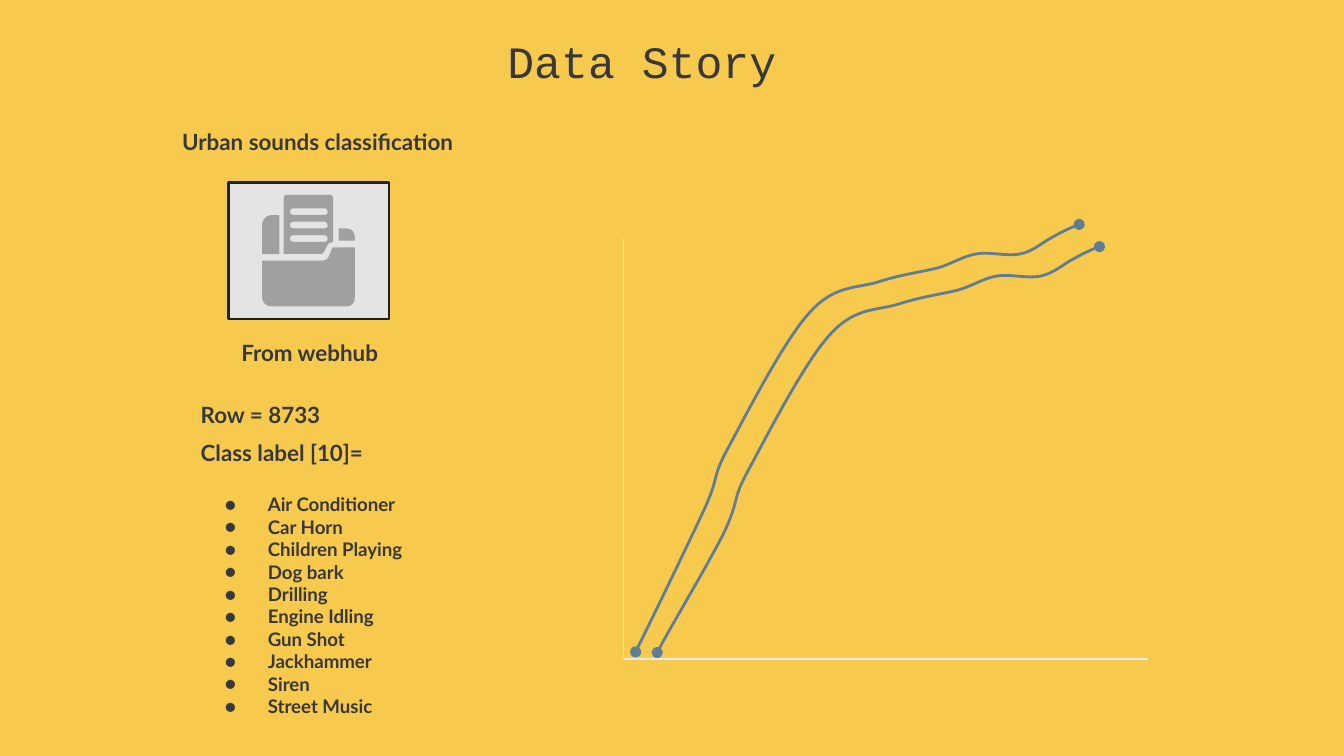
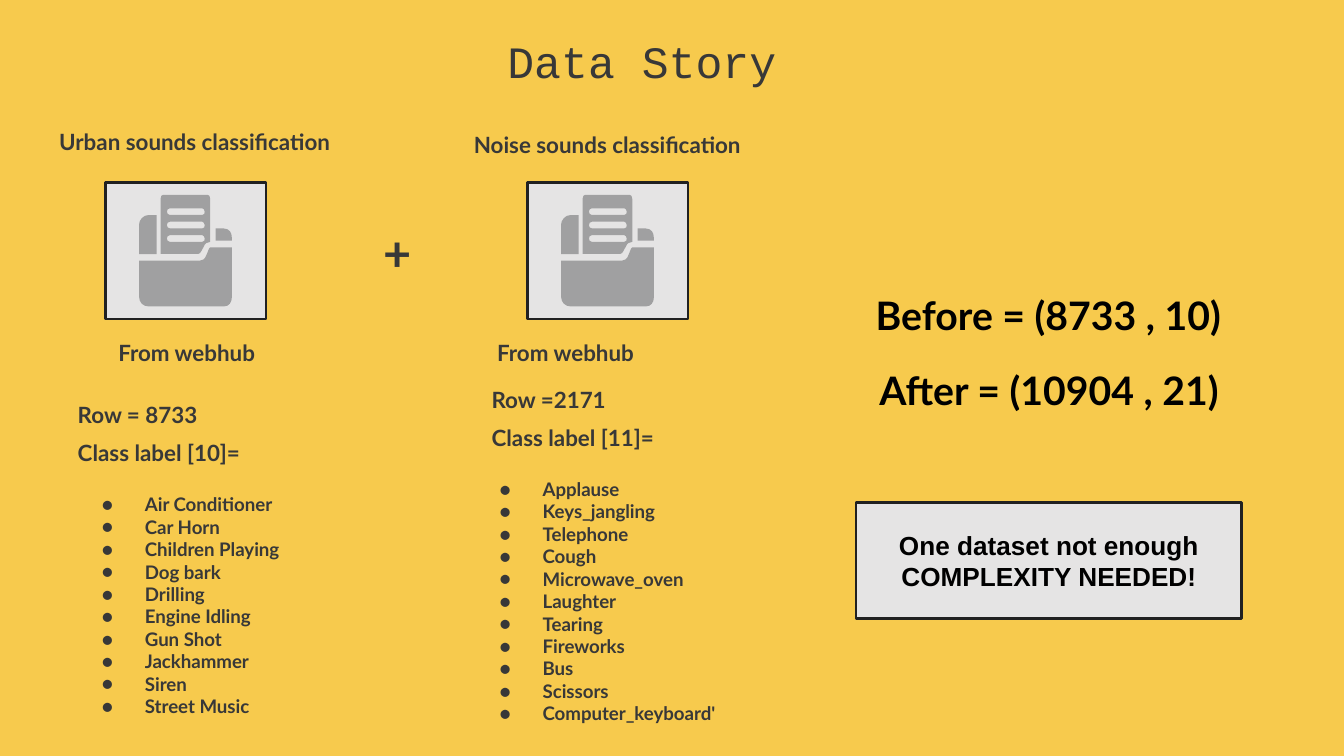
from dataclasses import dataclass

from lxml.etree import SubElement
from pptx import Presentation
from pptx.dml.color import RGBColor
from pptx.enum.shapes import MSO_CONNECTOR as CONNECTOR, MSO_SHAPE as SHAPE
from pptx.enum.text import MSO_ANCHOR as ANCHOR, PP_ALIGN as ALIGN
from pptx.oxml.ns import qn
from pptx.util import Emu, Inches, Pt

COLUMNS, ROWS = 100, 56.25
CELL = Inches(0.1)
COLORS = {
    "background": "F7CA4D",
    "text": "383838",
    "strong": "000000",
    "panel": "E5E4E4",
    "border": "212121",
    "icon": "A0A0A1",
    "curve": "5F7D95",
    "axis": "E3E9ED",
}
CAPTION_INSET = 3.7  # wider right margin of the captions, in cells

# Outlines: a start point, then lines (one point) or cubic curves (three points).
FOLDER_TAB = "8.2 3.4; 8.2 4.3; 9.4 4.3; 9.4 4.1; 9.4 3.7 9.2 3.4 8.8 3.4"
FOLDER_BACK = "3.2 2.4; 2.8 2.4 2.5 2.8 2.5 3.1; 2.5 5.3; 3.8 5.3; 3.8 2.4"
FOLDER_FRONT = ("7.8 4.8; 7.7 4.8 7.6 5.2 7.5 5.4; 7.4 5.7 7.2 5.8 7 5.8; 2.5 5.8; 2.5 8.5; "
                "2.5 8.9 2.8 9.2 3.2 9.2; 8.8 9.2; 9.2 9.2 9.4 8.9 9.4 8.5; 9.4 4.8")
SHEET = ("4.3 0.9; 4.2 0.9 4.1 1 4.1 1.2; 4.1 5.3; 6.9 5.3; 7.1 5.3 7.2 4.9 7.3 4.8; "
         "7.4 4.5 7.6 4.4 7.8 4.4; 7.8 1.2; 7.8 1 7.7 0.9 7.6 0.9")
SHEET_LINE = "7.2 0; 7.4 0 7.5 0.5 7.2 0.5; 4.8 0.5; 4.5 0.5 4.5 0 4.8 0"
SHEET_LINE_ROWS = (1.9, 2.9, 3.9)

CURVE_STARTS = ("0.9 31.8; 1.8 30 4.9 23.6 6.1 21", "1 30.2; 1.8 28.6 5 23.3 6.1 21")
CURVE_REST = ("; 7.2 18.5 6.5 19 7.8 16.6; 9.1 14.2 12 8.5 13.9 6.5; 15.8 4.4 17.5 4.8 19.2 4.2; "
              "20.8 3.7 22.4 3.5 23.5 3.2; 24.7 2.8 25.2 2.4 26.2 2.2; "
              "27.2 2 28.5 2.4 29.5 2.2; 30.5 2 31.2 1.3 32 0.9; 32.7 0.5 33.6 0.1 33.9 0")
CURVE_SHIFT = (1.5, 1.65)


@dataclass
class Box:
    """A rectangle in grid cells."""
    left: float
    top: float
    width: float
    height: float

    def inner(self, left, top, width, height):
        return Box(self.left + left, self.top + top, width, height)

    def emu(self):
        return [cells(n) for n in (self.left, self.top, self.width, self.height)]


@dataclass
class Dataset:
    """Wording of one data set, with its text boxes relative to the folder."""
    title: str
    size: str
    label: str
    classes: tuple
    title_box: tuple
    caption_box: tuple
    details_box: tuple
    indent: float


URBAN = Dataset(
    "Urban sounds classification", "Row = 8733", "Class label [10]=",
    ("Air Conditioner", "Car Horn", "Children Playing", "Dog bark", "Drilling",
     "Engine Idling", "Gun Shot", "Jackhammer", "Siren", "Street Music"),
    (-8.4, -5.05, 32.8, 4), (-12.2, 10.65, 39.2, 4), (-3.05, 15.25, 32.8, 25.8), 5)
NOISE = Dataset(
    "Noise sounds classification", "Row =2171", "Class label [11]=",
    ("Applause", "Keys_jangling", "Telephone", "Cough", "Microwave_oven", "Laughter",
     "Tearing", "Fireworks", "Bus", "Scissors", "Computer_keyboard'"),
    (-9.1, -4.85, 32.8, 4), (-3.6, 10.6, 15.6, 4), (-3.65, 14.12, 29.7, 27.4), 3.8)


def cells(count):
    return Emu(round(count * CELL))


def color(name):
    return RGBColor.from_string(COLORS[name])


def set_font(paragraph, size, name="Lato", tint="text", bold=True):
    for run in paragraph.runs:
        font = run.font
        font.size, font.name, font.bold = Pt(size), name, bold
        font.color.rgb = color(tint)


def fill_frame(frame, lines, align=ALIGN.CENTER, anchor=ANCHOR.TOP, right=1):
    """Put lines into a text frame and return its paragraphs."""
    frame.word_wrap = True
    frame.vertical_anchor = anchor
    frame.margin_left = frame.margin_top = frame.margin_bottom = cells(1)
    frame.margin_right = cells(right)
    frame.text = "\n".join(lines)
    for paragraph in frame.paragraphs:
        paragraph.alignment = align
    return frame.paragraphs


def add_label(slide, box, text, size, anchor=ANCHOR.TOP, right=1, **font):
    frame = slide.shapes.add_textbox(*box.emu()).text_frame
    for paragraph in fill_frame(frame, [text], anchor=anchor, right=right):
        set_font(paragraph, size, **font)


def add_bullet(paragraph, indent):
    properties = paragraph._p.get_or_add_pPr()
    properties.set("marL", str(cells(indent)))
    properties.set("indent", str(-cells(3.2)))
    tint = SubElement(properties, qn("a:buClr"))
    SubElement(tint, qn("a:srgbClr")).set("val", COLORS["text"])
    SubElement(properties, qn("a:buFont")).set("typeface", "Lato")
    SubElement(properties, qn("a:buChar")).set("char", "●")


def add_panel(slide, box):
    panel = slide.shapes.add_shape(SHAPE.RECTANGLE, *box.emu())
    panel.shadow.inherit = False
    panel.fill.solid()
    panel.fill.fore_color.rgb = color("panel")
    panel.line.color.rgb = color("border")
    panel.line.width = Pt(1.5)
    return panel


def trace(outline, left, top):
    """Turn an outline into segments, each a list of slide points."""
    segments = []
    for segment in outline.split(";"):
        numbers = [float(n) for n in segment.split()]
        segments.append([(cells(left + x), cells(top + y))
                         for x, y in zip(numbers[::2], numbers[1::2])])
    return segments


def bend(shape, segments):
    """Turn the straight steps that stand for cubic curves into curves."""
    steps = list(shape._element.iter(qn("a:lnTo")))
    for step, points in zip(steps, segments):
        if len(points) == 1:
            continue
        curve = step.makeelement(qn("a:cubicBezTo"))
        for x, y in points:
            point = SubElement(curve, qn("a:pt"))
            point.set("x", str(x - shape.left))
            point.set("y", str(y - shape.top))
        step.getparent().replace(step, curve)


def add_outline(shapes, contours, close):
    builder = shapes.build_freeform(*contours[0][0][0])
    for index, (start, *segments) in enumerate(contours):
        if index:
            builder.move_to(*start[0])
        builder.add_line_segments([points[-1] for points in segments], close=close)
    shape = builder.convert_to_shape()
    shape.shadow.inherit = False
    bend(shape, [points for contour in contours for points in contour[1:]])
    return shape


def add_folder(slide, box):
    add_panel(slide, box)
    icon = slide.shapes.add_group_shape()
    sheet = [trace(SHEET, box.left, box.top)]
    sheet += [trace(SHEET_LINE, box.left, box.top + row) for row in SHEET_LINE_ROWS]
    tab, back, front = ([trace(part, box.left, box.top)]
                        for part in (FOLDER_TAB, FOLDER_BACK, FOLDER_FRONT))
    for contours in (tab, sheet, back, front):
        shape = add_outline(icon.shapes, contours, close=True)
        shape.fill.solid()
        shape.fill.fore_color.rgb = color("icon")
        shape.line.fill.background()


def add_details(slide, box, dataset):
    frame = slide.shapes.add_textbox(*box.emu()).text_frame
    lines = (dataset.size, dataset.label, *dataset.classes)
    size, label, *classes = fill_frame(frame, lines, align=ALIGN.LEFT)
    for paragraph in (size, label):
        set_font(paragraph, 12)
    for paragraph in classes:
        add_bullet(paragraph, dataset.indent)
        set_font(paragraph, 10)
    label.space_before = Pt(6)
    classes[0].space_before = Pt(14.4)


def add_dataset(slide, folder, dataset):
    add_folder(slide, folder)
    add_label(slide, folder.inner(*dataset.caption_box), "From webhub", 12, right=CAPTION_INSET)
    add_details(slide, folder.inner(*dataset.details_box), dataset)
    add_label(slide, folder.inner(*dataset.title_box), dataset.title, 12, right=CAPTION_INSET)


def add_axis(shapes, *ends):
    axis = shapes.add_connector(CONNECTOR.STRAIGHT, *map(cells, ends))
    axis.line.color.rgb = color("axis")
    axis.line.width = Pt(0.75)
    SubElement(axis._element.spPr, qn("a:effectLst"))


def add_curve(shapes, box, start):
    curve = add_outline(shapes, [trace(start + CURVE_REST, box.left, box.top)], close=False)
    curve.fill.background()
    curve.line.color.rgb = color("curve")
    curve.line.width = Pt(1.5)
    for end in ("a:headEnd", "a:tailEnd"):
        SubElement(curve.line._get_or_add_ln(), qn(end)).set("type", "oval")


def add_growth_curves(slide, box):
    bottom = box.top + box.height
    upper, lower = CURVE_STARTS
    chart = slide.shapes.add_group_shape().shapes
    add_curve(chart, box, upper)
    add_axis(chart, box.left, box.top + 1.1, box.left, bottom)
    add_axis(chart, box.left, bottom, box.left + box.width, bottom)
    add_curve(slide.shapes, box.inner(*CURVE_SHIFT, box.width, box.height), lower)


def add_comparison(slide, box):
    """Shapes before and after merging, above the conclusion."""
    add_label(slide, box.inner(-1, 0, 30.6, 5.6), "Before = (8733 , 10)", 21, tint="strong")
    add_label(slide, box.inner(0, 5.55, box.width, 5.6), "After = (10904 , 21)", 21, tint="strong")
    panel = add_panel(slide, box.inner(0, 16.7, box.width, 8.6))
    lines = ("One dataset not enough", "COMPLEXITY NEEDED!")
    for paragraph in fill_frame(panel.text_frame, lines, anchor=ANCHOR.MIDDLE):
        set_font(paragraph, 14, "Arial", "strong")


def add_story_slide(presentation):
    slide = presentation.slides.add_slide(presentation.slide_layouts[6])
    slide.background.fill.solid()
    slide.background.fill.fore_color.rgb = color("background")
    add_label(slide, Box(31.35, 1.5, 32.8, 6.1), "Data Story", 24, name="Courier New", bold=False)
    return slide


def build_single_dataset(presentation):
    slide = add_story_slide(presentation)
    add_dataset(slide, Box(17, 13.6, 11.95, 10.15), URBAN)
    add_growth_curves(slide, Box(46.4, 16.7, 39, 32.35))


def build_merged_datasets(presentation):
    slide = add_story_slide(presentation)
    add_dataset(slide, Box(7.85, 13.6, 11.95, 10.15), URBAN)
    add_label(slide, Box(21.5, 13.9, 16.1, 9.7), "+", 26, anchor=ANCHOR.MIDDLE)
    add_dataset(slide, Box(39.25, 13.6, 11.95, 10.15), NOISE)
    add_comparison(slide, Box(63.7, 20.7, 28.7, 25.3))


def main():
    presentation = Presentation()
    presentation.slide_width, presentation.slide_height = cells(COLUMNS), cells(ROWS)
    build_single_dataset(presentation)
    build_merged_datasets(presentation)
    presentation.save("out.pptx")


if __name__ == "__main__":
    main()
